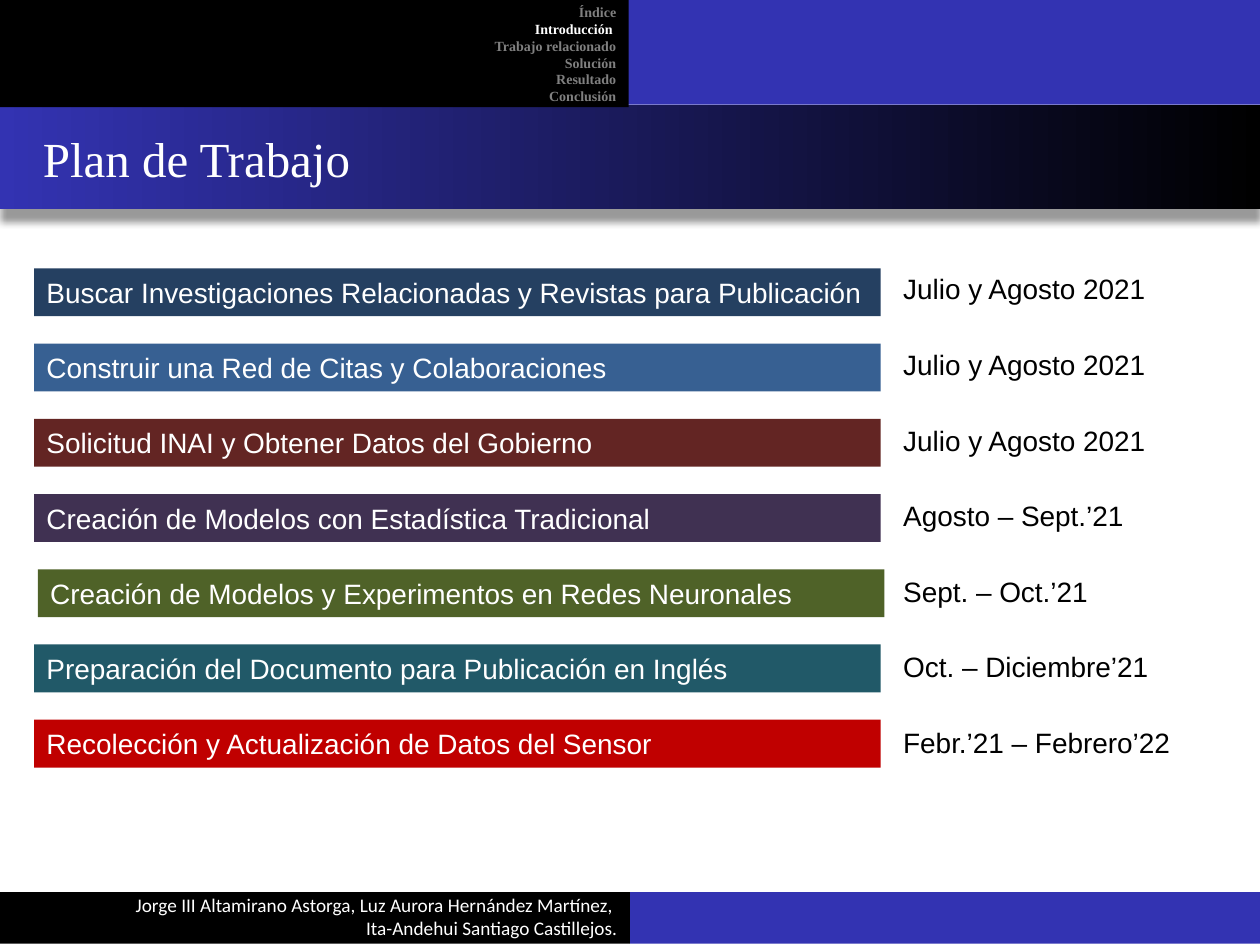
"""Build the work plan slide with its navigation header, task bars and dates."""
import pptx
import pptx.dml.color
import pptx.enum.dml
import pptx.enum.shapes
import pptx.enum.text
import pptx.oxml
import pptx.oxml.ns
import pptx.util

Inches = pptx.util.Inches
Pt = pptx.util.Pt
RGBColor = pptx.dml.color.RGBColor
PP_ALIGN = pptx.enum.text.PP_ALIGN
MSO_ANCHOR = pptx.enum.text.MSO_ANCHOR

BLACK = RGBColor(0x00, 0x00, 0x00)
WHITE = RGBColor(0xFF, 0xFF, 0xFF)
BLUE = RGBColor(0x33, 0x33, 0xB2)
GRAY = RGBColor(0x80, 0x80, 0x80)
NAVY = RGBColor(0x25, 0x40, 0x61)
STEEL = RGBColor(0x37, 0x60, 0x92)
MAROON = RGBColor(0x63, 0x25, 0x23)
PURPLE = RGBColor(0x40, 0x31, 0x52)
GREEN = RGBColor(0x4F, 0x62, 0x28)
TEAL = RGBColor(0x21, 0x59, 0x68)
RED = RGBColor(0xC0, 0x00, 0x00)

SHADOW = (
    '<a:effectLst %s><a:outerShdw blurRad="50800" dist="88900" dir="5400000" '
    'algn="t" rotWithShape="0"><a:srgbClr val="000000"><a:alpha val="40000"/>'
    '</a:srgbClr></a:outerShdw></a:effectLst>' % pptx.oxml.ns.nsdecls("a")
)


def add_rect(s, left, top, width, height, color):
    sp = s.shapes.add_shape(
        pptx.enum.shapes.MSO_SHAPE.RECTANGLE,
        Inches(left), Inches(top), Inches(width), Inches(height))
    sp.shadow.inherit = False
    sp.fill.solid()
    sp.fill.fore_color.rgb = color
    sp.line.fill.background()
    return sp


def add_run(p, text, font, size, color, align=PP_ALIGN.LEFT):
    p.alignment = align
    r = p.add_run()
    r.text = text
    r.font.name = font
    r.font.size = Pt(size)
    r.font.color.rgb = color
    return r


prs = pptx.Presentation()
prs.slide_width = Inches(10)
prs.slide_height = Inches(7.5)
s = prs.slides.add_slide(prs.slide_layouts[5])

add_rect(s, 5, 7.08, 5, 0.41, BLUE)
add_rect(s, 0, 7.08, 5, 0.41, BLACK)
band = add_rect(s, 0, 0.83, 10, 0.83, BLACK)
band.fill.gradient()
band.fill.gradient_angle = 180
for stop, position, color in zip(band.fill.gradient_stops, (0, 1), (BLACK, BLUE)):
    stop.position = position
    stop.color.rgb = color
spPr = band._element.spPr
spPr.remove(spPr.find(pptx.oxml.ns.qn("a:effectLst")))
spPr.append(pptx.oxml.parse_xml(SHADOW))
add_rect(s, 4.92, -0.01, 5.08, 0.84, BLUE)
add_rect(s, -0.01, -0.01, 5, 0.86, BLACK)

footer = s.shapes.add_textbox(Inches(0), Inches(7.14), Inches(5), Inches(0.27))
tf = footer.text_frame
tf.word_wrap = True
tf.vertical_anchor = MSO_ANCHOR.MIDDLE
authors = ("Jorge III Altamirano Astorga, Luz Aurora Hernández Martínez, ",
           "Ita-Andehui Santiago Castillejos.")
for i, text in enumerate(authors):
    p = tf.add_paragraph() if i else tf.paragraphs[0]
    add_run(p, text, "Calibri", 11, WHITE, PP_ALIGN.RIGHT)

title = s.shapes.title
s.shapes._spTree.append(title._element)
title.left, title.top = Inches(0.04), Inches(0.85)
title.width, title.height = Inches(9.96), Inches(0.81)
tf = title.text_frame
tf.vertical_anchor = MSO_ANCHOR.MIDDLE
tf.margin_left = Inches(0.3)
add_run(tf.paragraphs[0], "Plan de Trabajo", "Times New Roman", 28, WHITE)

menu = s.shapes.add_textbox(Inches(2.32), Inches(-0.02), Inches(2.67), Inches(1.04))
tf = menu.text_frame
tf.word_wrap = True
sections = ("Índice", "Introducción ", "Trabajo relacionado",
            "Solución", "Resultado", "Conclusión")
for i, text in enumerate(sections):
    p = tf.add_paragraph() if i else tf.paragraphs[0]
    p.line_spacing = Pt(9.6)
    color = WHITE if i == 1 else GRAY
    r = add_run(p, text, "Times New Roman", 8, color, PP_ALIGN.RIGHT)
    r.font.bold = True

tasks = (
    ("Buscar Investigaciones Relacionadas y Revistas para Publicación",
     "Julio y Agosto 2021", NAVY, 0.27),
    ("Construir una Red de Citas y Colaboraciones",
     "Julio y Agosto 2021", STEEL, 0.27),
    ("Solicitud INAI y Obtener Datos del Gobierno",
     "Julio y Agosto 2021", MAROON, 0.27),
    ("Creación de Modelos con Estadística Tradicional",
     "Agosto – Sept.’21", PURPLE, 0.27),
    ("Creación de Modelos y Experimentos en Redes Neuronales",
     "Sept. – Oct.’21", GREEN, 0.3),
    ("Preparación del Documento para Publicación en Inglés",
     "Oct. – Diciembre’21", TEAL, 0.27),
    ("Recolección y Actualización de Datos del Sensor",
     "Febr.’21 – Febrero’22", RED, 0.27),
)
for i, (task, date, color, left) in enumerate(tasks):
    bar = add_rect(s, left, 2.13 + 0.597 * i, 6.72, 0.38, color)
    tf = bar.text_frame
    tf.vertical_anchor = MSO_ANCHOR.MIDDLE
    add_run(tf.paragraphs[0], task, "Arial", 16, WHITE)

    box = s.shapes.add_textbox(
        Inches(7.07), Inches(2.11 + 0.6 * i), Inches(2.5), Inches(0.37))
    tf = box.text_frame
    tf.word_wrap = True
    add_run(tf.paragraphs[0], date, "Arial", 16, BLACK)

prs.save("out.pptx")
